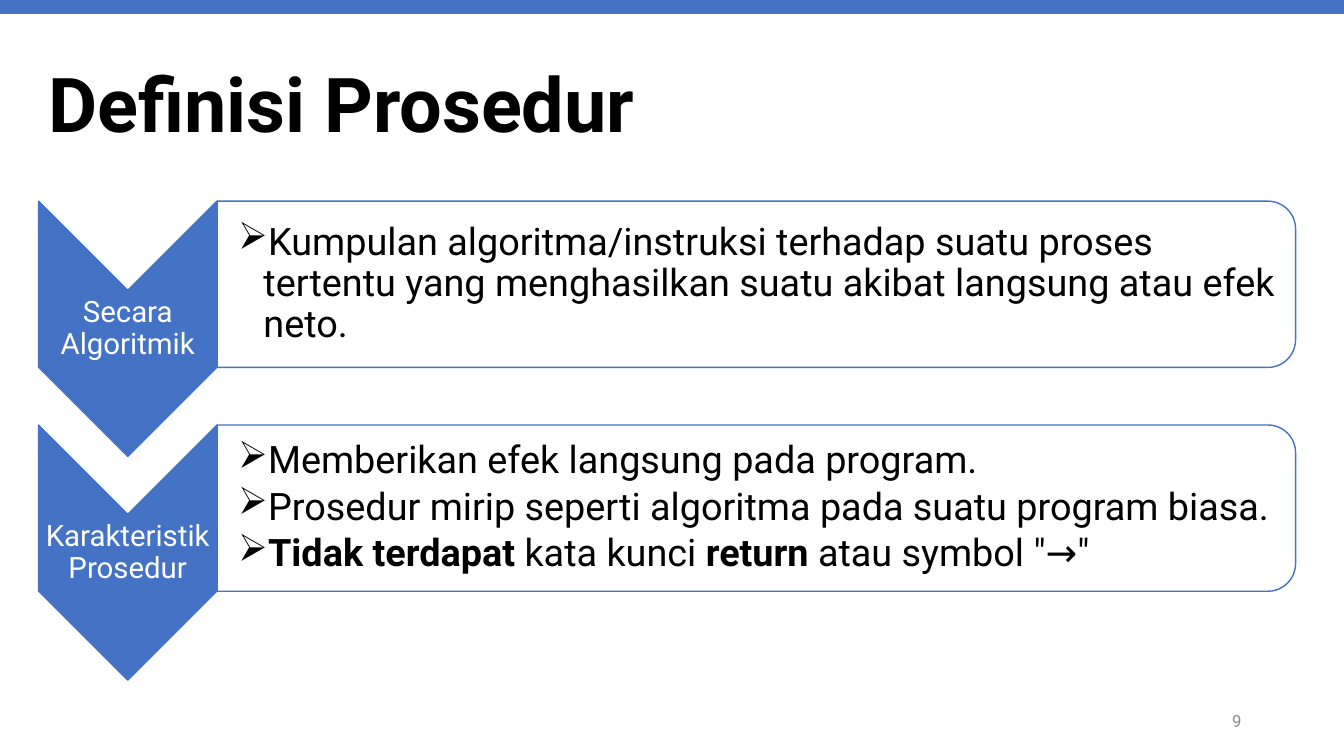
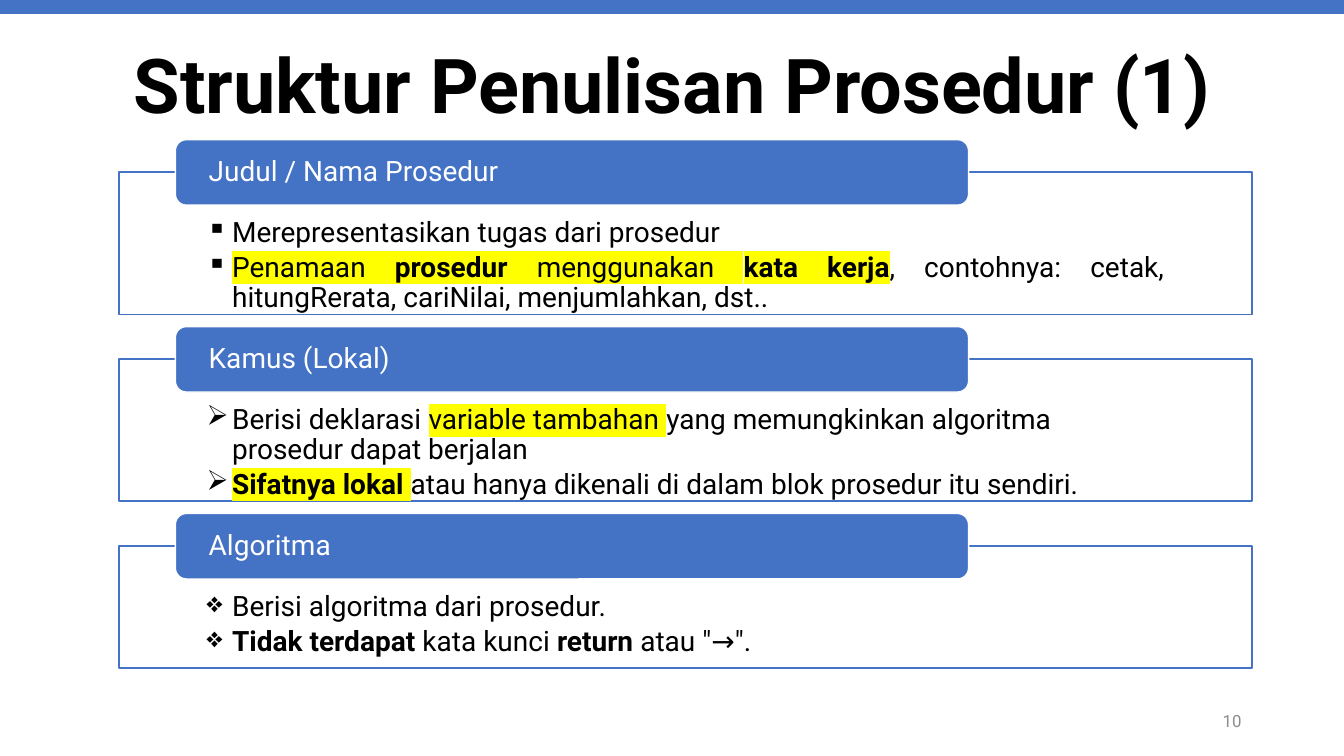
"""Build two slides that explain procedures in algorithmic notation."""
from lxml.etree import SubElement
from pptx import Presentation
from pptx.dml.color import RGBColor
from pptx.enum.shapes import MSO_SHAPE as Shape
from pptx.enum.text import MSO_ANCHOR as Anchor, MSO_AUTO_SIZE as AutoSize, PP_ALIGN as Align
from pptx.oxml.ns import qn
from pptx.util import Cm, Pt

COLORS = {"blue": "4472C4", "white": "FFFFFF", "black": "000000", "gray": "8C8C8C", "yellow": "FFFF00"}
FONT = "Roboto"
SLIDE_WIDTH, SLIDE_HEIGHT = 33.87, 19.05
BOLD, MARKED, BOLD_MARKED = "b", "m", "bm"

DEFINITION = {
    "title": "Definisi Prosedur",
    "number": 9,
    "rows": [
        ("Secara Algoritmik", [
            "Kumpulan algoritma/instruksi terhadap suatu proses tertentu yang menghasilkan "
            "suatu akibat langsung atau efek neto.",
        ]),
        ("Karakteristik Prosedur", [
            "Memberikan efek langsung pada program.",
            "Prosedur mirip seperti algoritma pada suatu program biasa.",
            [("Tidak terdapat", BOLD), " kata kunci ", ("return", BOLD), ' atau symbol "→"'],
        ]),
    ],
}
STRUCTURE = {
    "title": "Struktur Penulisan Prosedur (1)",
    "number": 10,
    "sections": [
        ("Judul / Nama Prosedur", "▪", Align.JUSTIFY, 3.58, [
            "Merepresentasikan tugas dari prosedur",
            [("Penamaan ", MARKED), ("prosedur", BOLD_MARKED), (" menggunakan ", MARKED),
             ("kata kerja", BOLD_MARKED),
             ", contohnya: cetak, hitungRerata, cariNilai, menjumlahkan, dst.."],
        ]),
        ("Kamus (Lokal)", "➢", Align.LEFT, 3.58, [
            ["Berisi deklarasi ", ("variable tambahan ", MARKED),
             "yang memungkinkan algoritma prosedur dapat berjalan"],
            [("Sifatnya lokal ", BOLD_MARKED),
             "atau hanya dikenali di dalam blok prosedur itu sendiri."],
        ]),
        ("Algoritma", "❖", Align.LEFT, 3.07, [
            "Berisi algoritma dari prosedur.",
            [("Tidak terdapat", BOLD), " kata kunci ", ("return ", BOLD), 'atau "→".'],
        ]),
    ],
}


def rgb(name):
    """Return the named palette colour."""
    return RGBColor.from_string(COLORS[name])


def add_run(paragraph, text, style, size, color):
    """Append one run, bold or highlighted according to its style."""
    run = paragraph.add_run()
    run.text = text
    run.font.size = Pt(size)
    run.font.bold = "b" in style
    run.font.color.rgb = rgb(color)
    if "m" in style:
        properties = run.font._element
        highlight = SubElement(properties, qn("a:highlight"))
        SubElement(highlight, qn("a:srgbClr")).set("val", COLORS["yellow"])
    run.font.name = FONT


def write(shape, paragraphs, size=20, color="black", align=Align.LEFT, anchor=Anchor.MIDDLE,
          insets=(0.25, 0.13, 0.25, 0.13), line_spacing=0.9, space_after=0, bullet=None, style=""):
    """Fill a shape with formatted paragraphs made of strings or lists of runs."""
    frame = shape.text_frame
    frame.word_wrap = True
    frame.auto_size = AutoSize.NONE
    frame.vertical_anchor = anchor
    frame.margin_left, frame.margin_top, frame.margin_right, frame.margin_bottom = map(Cm, insets)
    for index, content in enumerate(paragraphs):
        paragraph = frame.add_paragraph() if index else frame.paragraphs[0]
        paragraph.alignment = align
        paragraph.line_spacing = line_spacing
        paragraph.space_before = Pt(0)
        paragraph.space_after = Pt(space_after)
        if bullet:
            properties = paragraph._p.get_or_add_pPr()
            properties.set("marL", str(Cm(0.64)))
            properties.set("indent", str(Cm(-0.64)))
            SubElement(properties, qn("a:buChar")).set("char", bullet)
        for part in [content] if isinstance(content, str) else content:
            text, run_style = (part, style) if isinstance(part, str) else part
            add_run(paragraph, text, run_style, size, color)


def add_box(slide, kind, left, top, width, height, fill="blue", line=None, quarter_turn=False):
    """Add a preset shape that covers the given area, turned clockwise if asked."""
    if quarter_turn:
        left, top = left + (width - height) / 2, top + (height - width) / 2
        width, height = height, width
    shape = slide.shapes.add_shape(kind, Cm(left), Cm(top), Cm(width), Cm(height))
    shape.rotation = 90 if quarter_turn else 0
    shape.shadow.inherit = False
    shape.fill.solid()
    shape.fill.fore_color.rgb = rgb(fill)
    if line:
        shape.line.color.rgb = rgb(line)
        shape.line.width = Pt(1)
    else:
        shape.line.fill.background()
    return shape


def add_text(slide, paragraphs, left, top, width, height, **text_format):
    """Add a text box with formatted paragraphs."""
    box = slide.shapes.add_textbox(Cm(left), Cm(top), Cm(width), Cm(height))
    write(box, paragraphs, **text_format)


def add_base_slide(presentation, content, title_area, **title_format):
    """Add a slide with its title, top band and page number."""
    slide = presentation.slides.add_slide(presentation.slide_layouts[5])
    title = slide.shapes.title
    title.left, title.top, title.width, title.height = map(Cm, title_area)
    write(title, [content["title"]], size=54, style=BOLD, **title_format)
    add_box(slide, Shape.RECTANGLE, 0, 0, SLIDE_WIDTH, 0.35)
    add_text(slide, [str(content["number"])], 23.92, 17.66, 7.62, 1.01, size=12, color="gray",
             align=Align.RIGHT, line_spacing=1, space_after=6)
    return slide


def build_definition(presentation):
    """Draw a chevron with its text panel for each row."""
    slide = add_base_slide(presentation, DEFINITION, (0.97, 0.89, 31.7, 3.68))
    left, first_top, pitch, chevron_width, panel_width = 0.97, 5.07, 5.64, 4.5, 27.18
    panel_left = left + chevron_width
    for index, (label, points) in enumerate(DEFINITION["rows"]):
        top = first_top + index * pitch
        add_box(slide, Shape.CHEVRON, left, top, chevron_width, 6.43, line="blue", quarter_turn=True)
        add_text(slide, [label], left, top + 2.26, chevron_width, 1.93, size=21, color="white",
                 align=Align.CENTER, insets=(0.03,) * 4, space_after=7)
        add_box(slide, Shape.ROUND_2_SAME_RECTANGLE, panel_left, top, panel_width, 4.19,
                fill="white", line="blue", quarter_turn=True)
        add_text(slide, points, panel_left, top + 0.2, 26.97, 3.78, size=27,
                 insets=(0.53, 0.04, 0.04, 0.04), space_after=4, bullet="➢")


def build_structure(presentation):
    """Stack a framed list with a header tab for each section."""
    slide = add_base_slide(presentation, STRUCTURE, (2.33, 0.81, 29.21, 2.59),
                           align=Align.CENTER, anchor=Anchor.BOTTOM)
    top, gap = 4.34, 1.13
    for heading, bullet, align, height, points in STRUCTURE["sections"]:
        panel = add_box(slide, Shape.RECTANGLE, 3, top, 28.55, height, fill="white", line="blue")
        write(panel, points, align=align, anchor=Anchor.TOP, insets=(2.21, 1.17, 2.21, 0.41),
              space_after=3, bullet=bullet)
        tab = add_box(slide, Shape.ROUNDED_RECTANGLE, 4.42, top - 0.82, 19.99, 1.65, line="white")
        write(tab, [heading], color="white", insets=(0.76, 0, 0.76, 0), space_after=7)
        top += height + gap


def main():
    """Build and save the presentation."""
    presentation = Presentation()
    presentation.slide_width, presentation.slide_height = Cm(SLIDE_WIDTH), Cm(SLIDE_HEIGHT)
    build_definition(presentation)
    build_structure(presentation)
    presentation.save("out.pptx")


if __name__ == "__main__":
    main()
